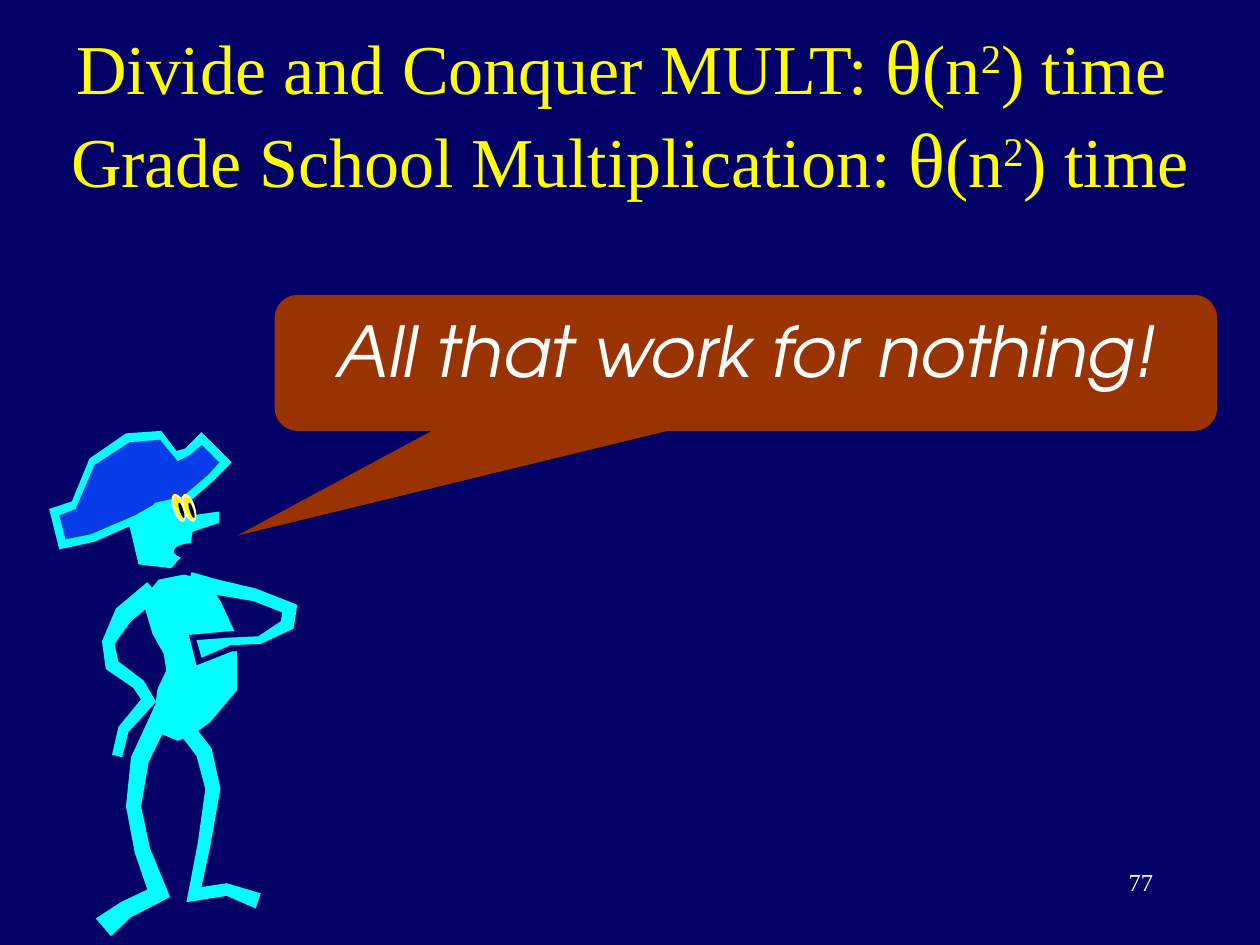
from dataclasses import dataclass
from math import hypot
from typing import NamedTuple

from pptx import Presentation
from pptx.dml.color import RGBColor
from pptx.enum.shapes import MSO_SHAPE as Preset
from pptx.enum.text import MSO_ANCHOR as Anchor, PP_ALIGN as Align
from pptx.util import Emu, Pt

COLUMNS, ROWS, CELL = 1000, 750, 9144
NAVY, CYAN, BLUE, YELLOW = "000066", "00FFFF", "063DE8", "FFFF00"
WHITE, BLACK, RUST = "FFFFFF", "000000", "993300"
SERIF, SANS = "Times New Roman", "TeX Gyre Adventor"


@dataclass(frozen=True)
class Box:
    """A rectangle in grid columns and rows."""

    left: float
    top: float
    width: float
    height: float

    def lengths(self) -> list[Emu]:
        """Return the four lengths for python-pptx."""
        return [Emu(round(value * CELL)) for value in (self.left, self.top, self.width, self.height)]


@dataclass(frozen=True)
class Span:
    """A run of text with its size and baseline shift."""

    text: str
    size: int = 40
    raised: bool = False


class Point(NamedTuple):
    """A place on the grid."""

    x: float
    y: float


class Joint(NamedTuple):
    """A place on the centre line of a body part, with half the part's width there."""

    x: float
    y: float
    half: float


TIME = [Span("θ", 44), Span("(n"), Span("2", raised=True)]
TITLE = [
    [Span("Divide and Conquer MULT: "), *TIME, Span(") time ")],
    [Span("Grade School Multiplication: "), *TIME, Span(") time")],
]
FACE = {
    "crown": Point(147, 385), "nape": Point(101, 410), "jaw": Point(110, 448), "chin": Point(136, 451),
    "lip": Point(151, 434), "nostril": Point(153, 422), "nose tip": Point(174, 415),
    "nose top": Point(174, 406), "brow": Point(153, 409),
}
TORSO = [Joint(136, 458, 10), Joint(138, 468, 26), Joint(148, 490, 30), Joint(159, 512, 29),
         Joint(160, 540, 28), Joint(146, 560, 24), Joint(137, 577, 16), Joint(134, 585, 8)]
BACK_ARM = [Joint(122, 468, 8), Joint(98, 488, 8), Joint(86, 510, 5), Joint(89, 528, 5),
            Joint(110, 543, 5), Joint(118, 556, 5), Joint(98, 579, 4), Joint(93, 600, 4)]
UPPER_ARM = [Joint(150, 461, 7), Joint(172, 466, 6), Joint(202, 472, 5), Joint(230, 483, 5),
             Joint(228, 496, 5)]
FOREARM = [Joint(206, 508, 3), Joint(183, 509, 3), Joint(158, 515, 7)]
BACK_LEG = [Joint(130, 563, 8), Joint(111, 603, 7), Joint(106, 640, 6), Joint(113, 675, 6),
            Joint(126, 709, 7), Joint(100, 722, 7), Joint(82, 736, 9)]
FRONT_LEG = [Joint(139, 567, 6), Joint(162, 597, 7), Joint(169, 626, 6), Joint(162, 670, 5),
             Joint(154, 710, 5), Joint(180, 706, 5), Joint(205, 715, 6)]
HAT = [Joint(43, 420, 17), Joint(66, 414, 18), Joint(91, 389, 32), Joint(112, 376, 33),
       Joint(125, 374, 31), Joint(143, 380, 20), Joint(158, 369, 17), Joint(172, 355, 17)]
EYES, PUPIL_SHIFT, EYE_TILT = [Point(142, 403), Point(150, 403)], 2, 71.5


def direction(start: Joint, end: Joint) -> Point:
    """Return the unit vector from one joint to another."""
    length = hypot(end.x - start.x, end.y - start.y)
    return Point((end.x - start.x) / length, (end.y - start.y) / length)


def widen(joints: list[Joint], margin: float) -> list[Joint]:
    """Grow a body part on every side, or shrink it by a negative margin."""
    wider = [joint._replace(half=joint.half + margin) for joint in joints]
    for end, neighbour in ((0, 1), (-1, -2)):
        along = direction(joints[neighbour], joints[end])
        wider[end] = wider[end]._replace(x=joints[end].x + margin * along.x,
                                         y=joints[end].y + margin * along.y)
    return wider


def outline(joints: list[Joint]) -> list[Point]:
    """Offset a centre line to both sides, down one and back up the other."""
    steps = [direction(start, end) for start, end in zip(joints, joints[1:])]
    one_side, other_side = [], []
    for joint, before, after in zip(joints, steps[:1] + steps, steps + steps[-1:]):
        miter = joint.half / (1 + before.x * after.x + before.y * after.y)
        across = Point(-(before.y + after.y) * miter, (before.x + after.x) * miter)
        one_side.append(Point(joint.x + across.x, joint.y + across.y))
        other_side.append(Point(joint.x - across.x, joint.y - across.y))
    return one_side + other_side[::-1]


def color(value: str) -> RGBColor:
    """Turn a hex string into a colour."""
    return RGBColor.from_string(value)


def paint(shape, fill: str, line: str | None = None) -> None:
    """Give a shape a flat fill and an optional thin line."""
    shape.shadow.inherit = False
    shape.fill.solid()
    shape.fill.fore_color.rgb = color(fill)
    if line:
        shape.line.color.rgb = color(line)
        shape.line.width = Pt(1)
    else:
        shape.line.fill.background()


def write(shape, lines: list[list[Span]], align: Align, anchor: Anchor, ink: str, **formats) -> None:
    """Write lines of spans into one paragraph of a shape."""
    frame = shape.text_frame
    frame.word_wrap = True
    frame.vertical_anchor = anchor
    paragraph = frame.paragraphs[0]
    paragraph.alignment = align
    for number, spans in enumerate(lines):
        if number:
            paragraph.add_line_break()
        for span in spans:
            run = paragraph.add_run()
            run.text = span.text
            run.font.color.rgb = color(ink)
            for name, value in {"size": Pt(span.size), **formats}.items():
                setattr(run.font, name, value)
            if span.raised:
                run.font._element.set("baseline", "30000")


def draw_polygon(shapes, points: list[Point], fill: str) -> None:
    """Draw a closed, filled outline."""
    builder = shapes.build_freeform(*points[0], scale=CELL)
    builder.add_line_segments(points[1:], close=True)
    paint(builder.convert_to_shape(), fill)


def draw_oval(shapes, centre: Point, width: float, height: float, fill: str,
              tilt: float = 0, line: str | None = None) -> None:
    """Draw an ellipse around its centre."""
    box = Box(centre.x - width / 2, centre.y - height / 2, width, height)
    shape = shapes.add_shape(Preset.OVAL, *box.lengths())
    shape.rotation = tilt
    paint(shape, fill, line)


def draw_pirate(shapes) -> None:
    """Draw the figure from back to front, with a dark gap around the forearm."""
    draw_polygon(shapes, list(FACE.values()), CYAN)
    parts = [(TORSO, CYAN), (BACK_ARM, CYAN), (widen(FOREARM, 5), NAVY), (UPPER_ARM + FOREARM, CYAN),
             (BACK_LEG, CYAN), (FRONT_LEG, CYAN), (HAT, CYAN), (widen(HAT, -7), BLUE)]
    for joints, fill in parts:
        draw_polygon(shapes, outline(joints), fill)
    for eye in EYES:
        pupil = Point(eye.x + PUPIL_SHIFT, eye.y + PUPIL_SHIFT)
        draw_oval(shapes, eye, 22, 8, YELLOW, EYE_TILT, WHITE)
        draw_oval(shapes, pupil, 13, 3, BLACK, EYE_TILT)
    draw_oval(shapes, Point(154.5, 437.5), 33, 13, NAVY)


def draw_callout(shapes) -> None:
    """Draw the speech balloon."""
    callout = shapes.add_shape(Preset.ROUNDED_RECTANGULAR_CALLOUT, *Box(218, 234, 748, 108).lengths())
    for index, value in enumerate((-0.54, 1.27, 0.17)):
        callout.adjustments[index] = value
    paint(callout, RUST)
    write(callout, [[Span("All that work for nothing!")]], Align.CENTER, Anchor.TOP, WHITE,
          name=SANS, italic=True)


def main() -> None:
    """Build and save the slide."""
    presentation = Presentation()
    presentation.slide_width, presentation.slide_height = Emu(COLUMNS * CELL), Emu(ROWS * CELL)
    slide = presentation.slides.add_slide(presentation.slide_layouts[6])
    slide.background.fill.solid()
    slide.background.fill.fore_color.rgb = color(NAVY)
    title = slide.shapes.add_textbox(*Box(0, 25, COLUMNS, 125).lengths())
    write(title, TITLE, Align.CENTER, Anchor.MIDDLE, YELLOW, name=SERIF)
    draw_callout(slide.shapes)
    draw_pirate(slide.shapes.add_group_shape().shapes)
    page_number = slide.shapes.add_textbox(*Box(717, 683, 208, 50).lengths())
    write(page_number, [[Span("77", 14)]], Align.RIGHT, Anchor.TOP, WHITE, name=SERIF)
    presentation.save("out.pptx")


if __name__ == "__main__":
    main()
